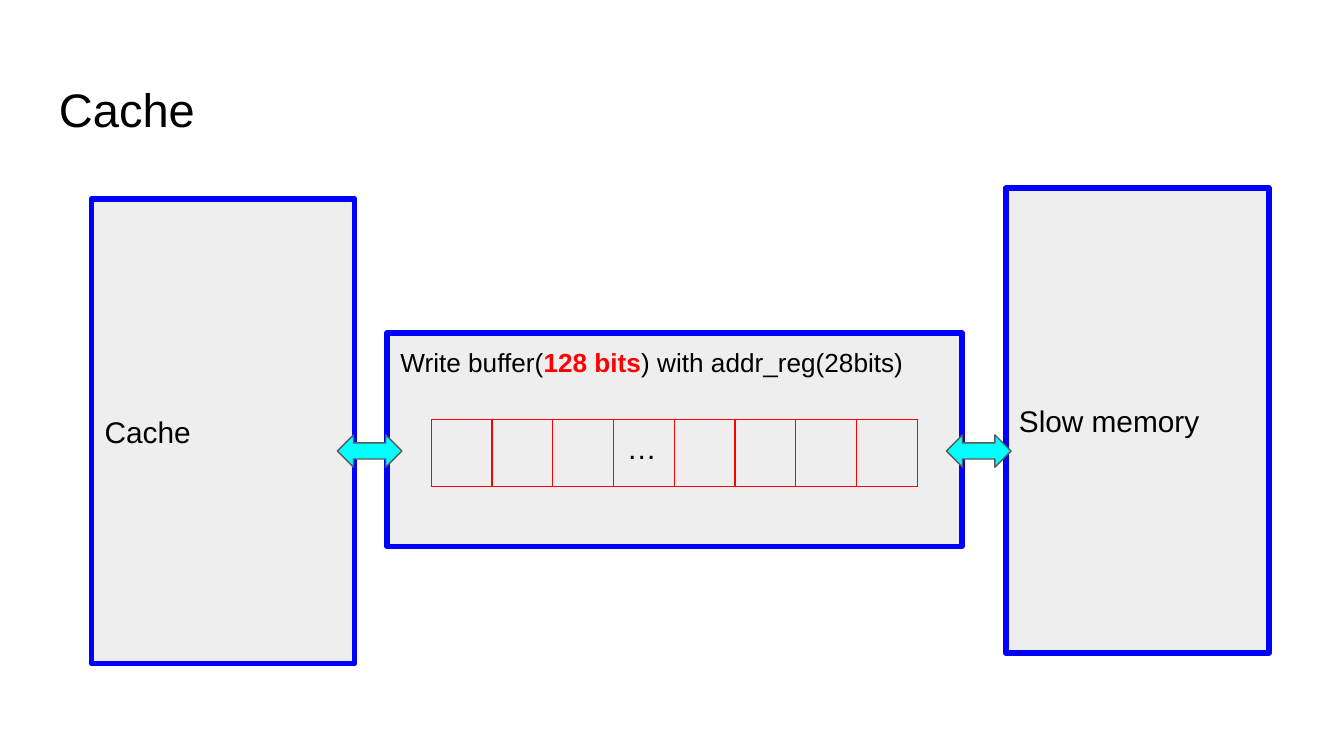
from dataclasses import dataclass

from lxml.etree import SubElement
from pptx import Presentation
from pptx.dml.color import RGBColor
from pptx.enum.shapes import MSO_SHAPE
from pptx.enum.text import MSO_ANCHOR, PP_ALIGN
from pptx.oxml.ns import qn
from pptx.util import Pt

FONT = "Arial"
BLACK, RED, BLUE, CYAN = "000000", "FF0000", "0000FF", "00FFFF"
PANEL, OUTLINE = "EEEEEE", "595959"
INSET = 7.2


@dataclass(frozen=True)
class Box:
    left: float
    top: float
    width: float
    height: float


@dataclass(frozen=True)
class Block:
    box: Box
    runs: tuple[str, ...]
    size: float = 16
    anchor: MSO_ANCHOR = MSO_ANCHOR.MIDDLE


TITLE = Block(Box(24.5, 35.3, 671, 45.4), ("Cache",), 25.2, MSO_ANCHOR.BOTTOM)
BLOCKS = (
    Block(Box(49, 106.5, 141, 249), ("Cache",)),
    Block(Box(207.4, 178.5, 308, 114.3),
          ("Write buffer(", "128 bits", ") with addr_reg(28bits)"), 14, MSO_ANCHOR.TOP),
    Block(Box(538.8, 100.8, 141, 249), ("Slow memory",)),
)
EMPHASIS = "128 bits"
CELLS = ("", "", "", "…", "", "", "", "")
GRID = Box(231, 224.6, 260.4, 35)
ARROW_LEFTS = (180.7, 507)


def color(value: str) -> RGBColor:
    return RGBColor.from_string(value)


def lengths(box: Box) -> tuple[Pt, ...]:
    return Pt(box.left), Pt(box.top), Pt(box.width), Pt(box.height)


def write(tf, runs: tuple[str, ...], size: float) -> None:
    p = tf.paragraphs[0]
    p.alignment = PP_ALIGN.LEFT
    uniform = len(runs) == 1
    for text in runs:
        r = p.add_run()
        r.text = text
        font = p.font if uniform else r.font
        font.name, font.size = FONT, Pt(size)
        font.bold = text == EMPHASIS
        font.color.rgb = color(RED if text == EMPHASIS else BLACK)


def fill_frame(sp, block: Block) -> None:
    tf = sp.text_frame
    tf.word_wrap = True
    tf.vertical_anchor = block.anchor
    tf.margin_left = tf.margin_right = tf.margin_top = tf.margin_bottom = Pt(INSET)
    write(tf, block.runs, block.size)


def add_shape(s, kind: MSO_SHAPE, box: Box, fill: str, line: str, weight: float):
    sp = s.shapes.add_shape(kind, *lengths(box))
    sp.shadow.inherit = False
    sp.fill.solid()
    sp.fill.fore_color.rgb = color(fill)
    sp.line.color.rgb = color(line)
    sp.line.width = Pt(weight)
    return sp


def add_block(s, block: Block) -> None:
    fill_frame(add_shape(s, MSO_SHAPE.RECTANGLE, block.box, PANEL, BLUE, 3), block)


def set_borders(cell, line: str, weight: float) -> None:
    tc_pr = cell._tc.get_or_add_tcPr()
    for i, side in enumerate(("lnL", "lnR", "lnT", "lnB")):
        ln = tc_pr.makeelement(qn(f"a:{side}"), {"w": str(Pt(weight))})
        tc_pr.insert(i, ln)
        SubElement(SubElement(ln, qn("a:solidFill")), qn("a:srgbClr"), val=line)


def add_grid(s, box: Box, cells: tuple[str, ...]) -> None:
    table = s.shapes.add_table(1, len(cells), *lengths(box)).table
    table.first_row = table.horz_banding = False
    for i, text in enumerate(cells):
        table.columns[i].width = Pt(box.width / len(cells))
        cell = table.cell(0, i)
        cell.margin_left = cell.margin_right = Pt(INSET)
        cell.margin_top = cell.margin_bottom = Pt(INSET)
        cell.fill.background()
        set_borders(cell, RED, 0.75)
        if text:
            write(cell.text_frame, (text,), 16)


def main() -> None:
    prs = Presentation()
    prs.slide_width, prs.slide_height = Pt(720), Pt(405)
    s = prs.slides.add_slide(prs.slide_layouts[6])
    fill_frame(s.shapes.add_textbox(*lengths(TITLE.box)), TITLE)
    cache, write_buffer, memory = BLOCKS
    add_block(s, cache)
    add_block(s, write_buffer)
    add_grid(s, GRID, CELLS)
    add_block(s, memory)
    for left in ARROW_LEFTS:
        add_shape(s, MSO_SHAPE.LEFT_RIGHT_ARROW, Box(left, 233, 34.6, 17.3), CYAN, OUTLINE, 0.75)
    prs.save("out.pptx")


if __name__ == "__main__":
    main()
